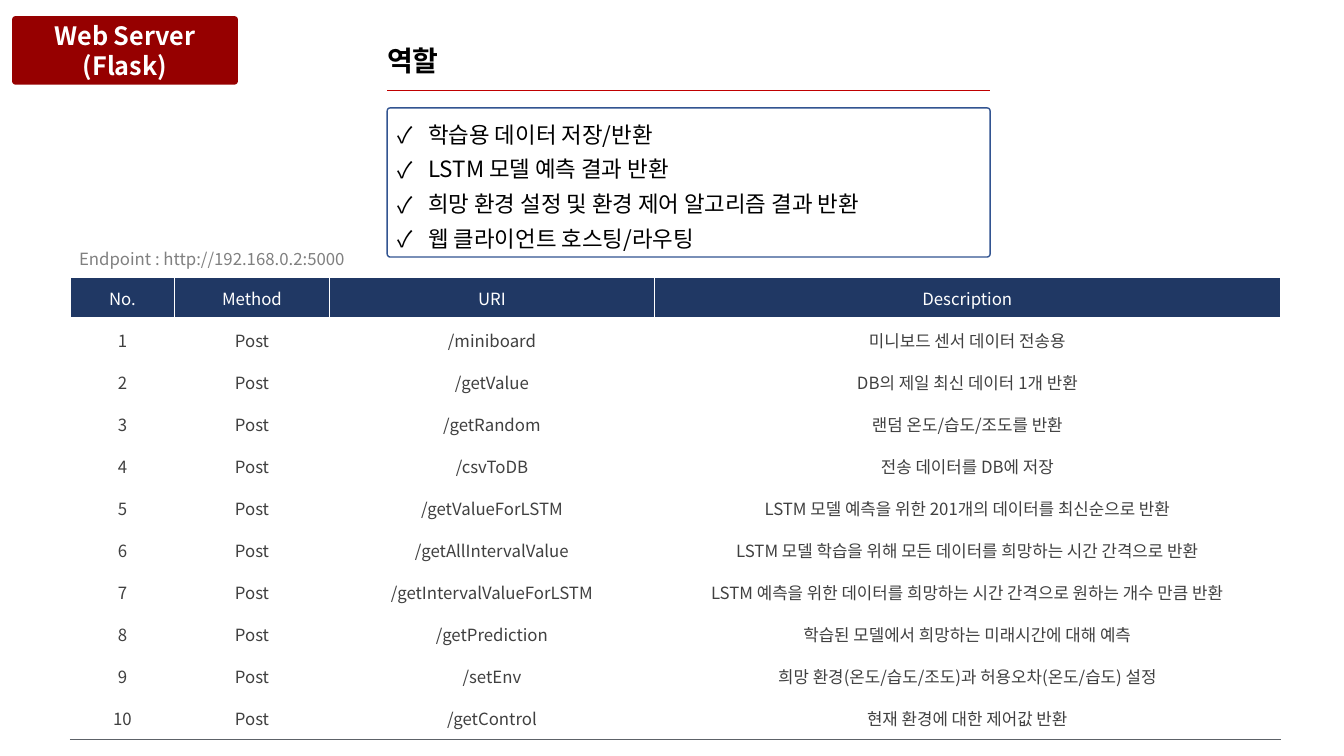
from dataclasses import dataclass

from lxml import etree
from pptx import Presentation, util as u
from pptx.dml.color import RGBColor
from pptx.enum import shapes, text
from pptx.oxml.ns import qn

# Content
TITLE = "역할"
BADGE = ["Web Server", "(Flask)"]
ROLES = [
    "학습용 데이터 저장/반환",
    "LSTM 모델 예측 결과 반환",
    "희망 환경 설정 및 환경 제어 알고리즘 결과 반환",
    "웹 클라이언트 호스팅/라우팅",
]
HOST = "Endpoint : http://192.168.0.2:5000"
HEAD = ["No.", "Method", "URI", "Description"]
VERB = "Post"
ROUTES = [
    ("/miniboard", "미니보드 센서 데이터 전송용"),
    ("/getValue", "DB의 제일 최신 데이터 1개 반환"),
    ("/getRandom", "랜덤 온도/습도/조도를 반환"),
    ("/csvToDB", "전송 데이터를 DB에 저장"),
    ("/getValueForLSTM", "LSTM 모델 예측을 위한 201개의 데이터를 최신순으로 반환"),
    ("/getAllIntervalValue", "LSTM 모델 학습을 위해 모든 데이터를 희망하는 시간 간격으로 반환"),
    ("/getIntervalValueForLSTM", "LSTM 예측을 위한 데이터를 희망하는 시간 간격으로 원하는 개수 만큼 반환"),
    ("/getPrediction", "학습된 모델에서 희망하는 미래시간에 대해 예측"),
    ("/setEnv", "희망 환경(온도/습도/조도)과 허용오차(온도/습도) 설정"),
    ("/getControl", "현재 환경에 대한 제어값 반환"),
]
COLS = [1.03, 1.54, 3.22, 6.21]


@dataclass(frozen=True)
class Theme:
    font: str = "Noto Sans CJK KR"
    white: str = "FFFFFF"
    black: str = "000000"
    red: str = "960000"
    rule: str = "C00000"
    navy: str = "203864"
    frame: str = "325491"
    body: str = "404040"
    gray: str = "808080"
    edge: str = "5D6268"
    small: int = 12
    list: int = 16
    badge: int = 18
    title: int = 20


T = Theme()
ALIGN = text.PP_ALIGN
MIDDLE = text.MSO_ANCHOR.MIDDLE


def rgb(code):
    return RGBColor.from_string(code)


def box(*nums):
    return [u.Inches(n) for n in nums]


def write(frame, lines, size=T.small, color=T.black, bold=False,
          align=ALIGN.LEFT, lead=None, mark=None):
    for i, line in enumerate(lines):
        para = frame.add_paragraph() if i else frame.paragraphs[0]
        para.alignment = align
        if lead:
            para.line_spacing = u.Pt(lead)
        if mark:
            props = para._p.get_or_add_pPr()
            props.set("marL", str(u.Inches(0.31)))
            props.set("indent", str(u.Inches(-0.31)))
            etree.SubElement(props, qn("a:buFont")).set("typeface", T.font)
            etree.SubElement(props, qn("a:buChar")).set("char", mark)
        run = para.add_run()
        run.text = line
        run.font.size, run.font.bold = u.Pt(size), bold
        run.font.color.rgb = rgb(color)
        run.font.name = T.font
        face = etree.SubElement(run._r.get_or_add_rPr(), qn("a:ea"))
        face.set("typeface", T.font)


def label(slide, spot, lines, wrap=False, **style):
    frame = slide.shapes.add_textbox(*box(*spot)).text_frame
    frame.word_wrap = wrap
    write(frame, lines, **style)


def panel(slide, spot, bend, fill=None, line=None):
    shape = slide.shapes.add_shape(
        shapes.MSO_SHAPE.ROUNDED_RECTANGLE, *box(*spot))
    shape.adjustments[0] = bend
    shape.shadow.inherit = False
    if fill:
        shape.fill.solid()
        shape.fill.fore_color.rgb = rgb(fill)
    else:
        shape.fill.background()
    if line:
        shape.line.color.rgb, shape.line.width = rgb(line), u.Pt(1)
    else:
        shape.line.fill.background()
    return shape


def border(cell, low, width):
    props = cell._tc.get_or_add_tcPr()
    sides = [("L", T.white, 1), ("R", T.white, 1),
             ("T", T.white, 1), ("B", low, width)]
    for i, (side, color, thick) in enumerate(sides):
        line = etree.Element(qn("a:ln" + side), w=str(u.Pt(thick)))
        fill = etree.SubElement(line, qn("a:solidFill"))
        etree.SubElement(fill, qn("a:srgbClr")).set("val", color)
        props.insert(i, line)


def grid(slide):
    rows = [HEAD] + [(str(n), VERB, *route)
                     for n, route in enumerate(ROUTES, 1)]
    last = len(rows) - 1
    table = slide.shapes.add_table(
        len(rows), len(COLS), *box(0.7, 2.75, sum(COLS), 4.59)).table
    for col, width in zip(table.columns, COLS):
        col.width = u.Inches(width)
    for r, row in enumerate(rows):
        for c, word in enumerate(row):
            cell = table.cell(r, c)
            cell.vertical_anchor = MIDDLE
            cell.fill.solid()
            cell.fill.fore_color.rgb = rgb(T.white if r else T.navy)
            write(cell.text_frame, [word], align=ALIGN.CENTER,
                  color=T.body if r else T.white)
            if r == 0:
                border(cell, T.white, 3)
            elif r == last:
                border(cell, T.edge, 1.5)


def main():
    deck = Presentation()
    deck.slide_width, deck.slide_height = box(13.33, 7.5)
    slide = deck.slides.add_slide(deck.slide_layouts[5])

    # Title and its rule
    title = slide.shapes.title
    title.left, title.top, title.width, title.height = box(3.74, 0.38, 1.5, 0.44)
    title.text_frame.word_wrap = True
    title.text_frame.vertical_anchor = MIDDLE
    write(title.text_frame, [TITLE], size=T.title, bold=True, lead=24)
    rule = slide.shapes.add_connector(
        shapes.MSO_CONNECTOR.STRAIGHT, *box(3.84, 0.9, 9.82, 0.9))
    rule.line.color.rgb, rule.line.width = rgb(T.rule), u.Pt(0.5)
    etree.SubElement(rule._element.spPr, qn("a:effectLst"))

    # Server badge
    badge = panel(slide, (0.12, 0.16, 2.24, 0.68), 0.05, fill=T.red)
    badge.text_frame.vertical_anchor = MIDDLE
    write(badge.text_frame, BADGE, size=T.badge, color=T.white, bold=True,
          align=ALIGN.CENTER, lead=21.5)

    # Role list in its frame
    panel(slide, (3.84, 1.07, 5.98, 1.48), 0.02, line=T.frame)
    label(slide, (3.84, 1.07, 6.14, 1.48), ROLES, wrap=True,
          size=T.list, lead=24.8, mark="✓")

    # Endpoint table
    label(slide, (0.54, 2.42, 2.98, 0.3), [HOST], color=T.gray,
          align=ALIGN.RIGHT, lead=14.5)
    grid(slide)

    deck.save("out.pptx")


if __name__ == "__main__":
    main()
